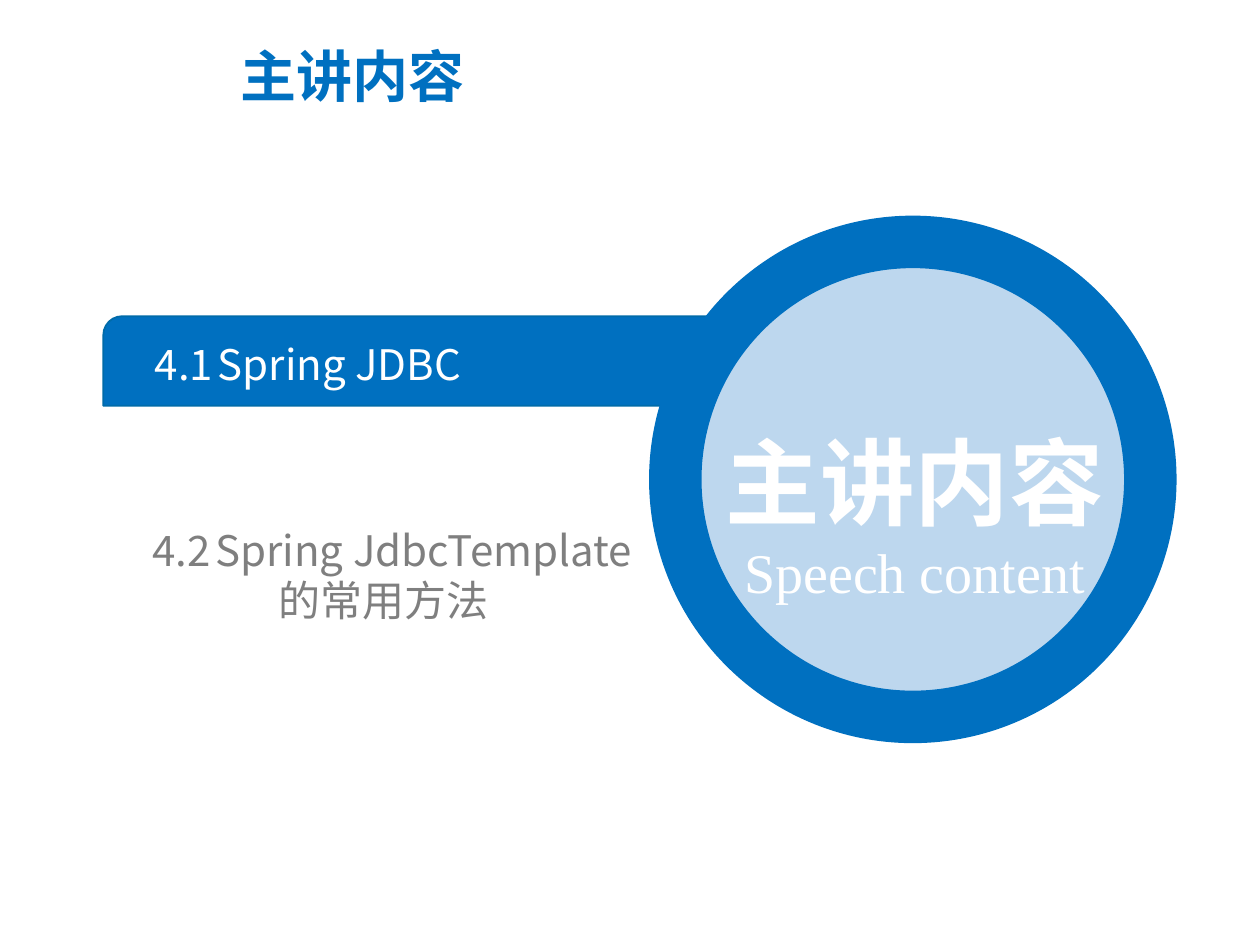
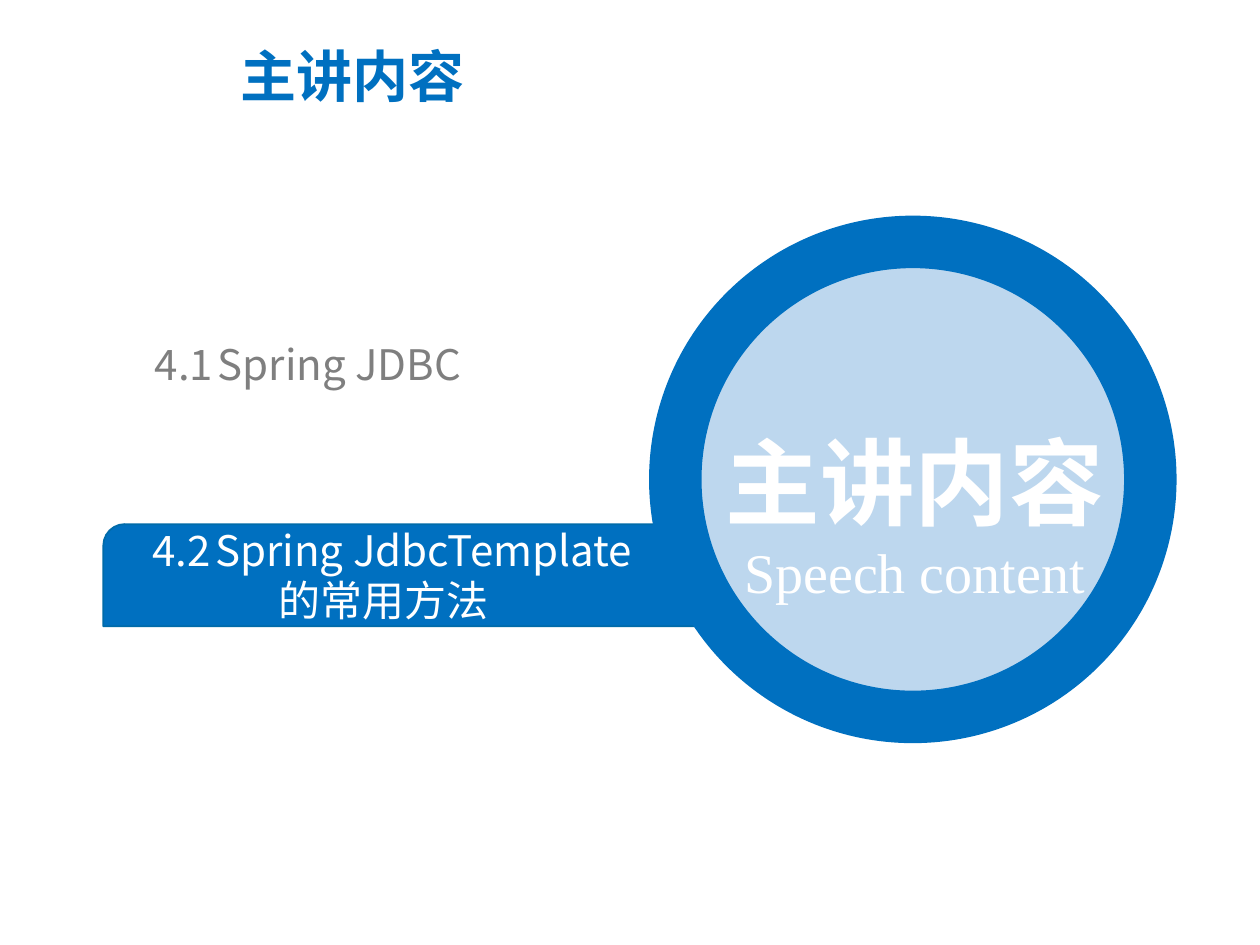
from dataclasses import dataclass
from lxml import etree
from pptx import Presentation
from pptx.dml.color import RGBColor
from pptx.enum.shapes import MSO_SHAPE
from pptx.enum.text import MSO_ANCHOR, MSO_AUTO_SIZE, PP_ALIGN
from pptx.oxml.ns import qn
from pptx.util import Inches, Pt

BAR, DISC = MSO_SHAPE.ROUND_2_DIAG_RECTANGLE, MSO_SHAPE.OVAL
TOP, MIDDLE = MSO_ANCHOR.TOP, MSO_ANCHOR.MIDDLE
LEFT, CENTER = PP_ALIGN.LEFT, PP_ALIGN.CENTER
FIXED = MSO_AUTO_SIZE.NONE
TITLE_ONLY = 5


@dataclass(frozen=True)
class Theme:
    blue: str = "0070C0"
    edge: str = "006BA9"
    pale: str = "BDD7EE"
    gray: str = "7F7F7F"
    white: str = "FFFFFF"
    sans: str = "Noto Sans CJK SC"
    serif: str = "Times New Roman"
    head: int = 32
    big: int = 54
    item: int = 24
    rim: int = 30


THEME = Theme()
HEAD = "主讲内容"

# Each topic: text box, top and height of its bar, lines of (text, indent)
TOPICS = [
    {"box": (1.23, 2.69, 4.76, 0.4), "bar": (2.51, 0.71),
     "lines": [("4.1\tSpring JDBC", 0)]},
    {"box": (1.21, 4.16, 4.15, 0.8), "bar": (4.16, 0.81),
     "lines": [("4.2\tSpring JdbcTemplate", 0), ("的常用方法", 1)]},
]


def inches(box):
    return [Inches(n) for n in box]


def set_all(target, values):
    for name, value in values.items():
        setattr(target, name, value)


def set_frame(frame, anchor, pad=(0.1, 0.05)):
    side, edge = inches(pad)
    set_all(frame, {
        "word_wrap": True, "auto_size": FIXED, "vertical_anchor": anchor,
        "margin_left": side, "margin_right": side,
        "margin_top": edge, "margin_bottom": edge})


def add_line(frame, first, text, size, color, face=THEME.sans, bold=False,
             align=LEFT, space=1.0):
    para = frame.paragraphs[0] if first else frame.add_paragraph()
    set_all(para, {"alignment": align, "line_spacing": space})
    run = para.add_run()
    run.text = text
    set_all(run.font, {"size": Pt(size), "bold": bold, "name": face})
    run.font.color.rgb = RGBColor.from_string(color)
    # East Asian letters need their own font entry
    asian = etree.SubElement(run.font._element, qn("a:ea"))
    asian.set("typeface", face)
    return para


def set_indent(para, margin, stop):
    props = para._p.get_or_add_pPr()
    props.set("marL", str(Inches(margin)))
    props.set("indent", "0")
    tabs = etree.SubElement(props, qn("a:tabLst"))
    etree.SubElement(tabs, qn("a:tab"), pos=str(Inches(stop)), algn="l")


def add_box(slide, box, anchor, pad=(0.1, 0.05)):
    frame = slide.shapes.add_textbox(*inches(box)).text_frame
    set_frame(frame, anchor, pad)
    return frame


def add_form(slide, kind, box, fill, line, width):
    form = slide.shapes.add_shape(kind, *inches(box))
    form.shadow.inherit = False
    form.fill.solid()
    form.fill.fore_color.rgb = RGBColor.from_string(fill)
    form.line.color.rgb = RGBColor.from_string(line)
    form.line.width = Pt(width)
    return form


def add_title(slide):
    title = slide.shapes.title
    names = ("left", "top", "width", "height")
    set_all(title, dict(zip(names, inches((1.81, 0.34, 6.15, 0.85)))))
    set_frame(title.text_frame, TOP)
    add_line(title.text_frame, True, HEAD, THEME.head, THEME.blue,
             bold=True, space=0.9)


def add_bar(slide, top, height):
    bar = add_form(slide, BAR, (0.82, top, 6.26, height),
                   THEME.blue, THEME.edge, 1)
    bar.adjustments[0] = 0.21


def add_disc(slide):
    add_form(slide, DISC, (5.36, 1.92, 3.77, 3.77),
             THEME.pale, THEME.blue, THEME.rim)
    frame = add_box(slide, (5.31, 2.86, 3.9, 1.99), MIDDLE)
    add_line(frame, True, HEAD, THEME.big, THEME.white,
             bold=True, align=CENTER, space=1.5)
    add_line(frame, False, "Speech content", THEME.head, THEME.white,
             face=THEME.serif, align=CENTER)


def add_topic(slide, topic, color):
    frame = add_box(slide, topic["box"], MIDDLE, (0, 0))
    for row, (text, margin) in enumerate(topic["lines"]):
        para = add_line(frame, row == 0, text, THEME.item, color)
        set_indent(para, margin, 0.6)


def add_agenda(deck, active):
    slide = deck.slides.add_slide(deck.slide_layouts[TITLE_ONLY])
    add_title(slide)
    add_bar(slide, *active["bar"])
    add_disc(slide)
    for topic in TOPICS:
        add_topic(slide, topic, THEME.white if topic is active else THEME.gray)


def main():
    deck = Presentation()
    set_all(deck, {"slide_width": Inches(10), "slide_height": Inches(7.5)})
    # One agenda slide for each topic, with that topic lit
    for topic in TOPICS:
        add_agenda(deck, topic)
    deck.save("out.pptx")


if __name__ == "__main__":
    main()
